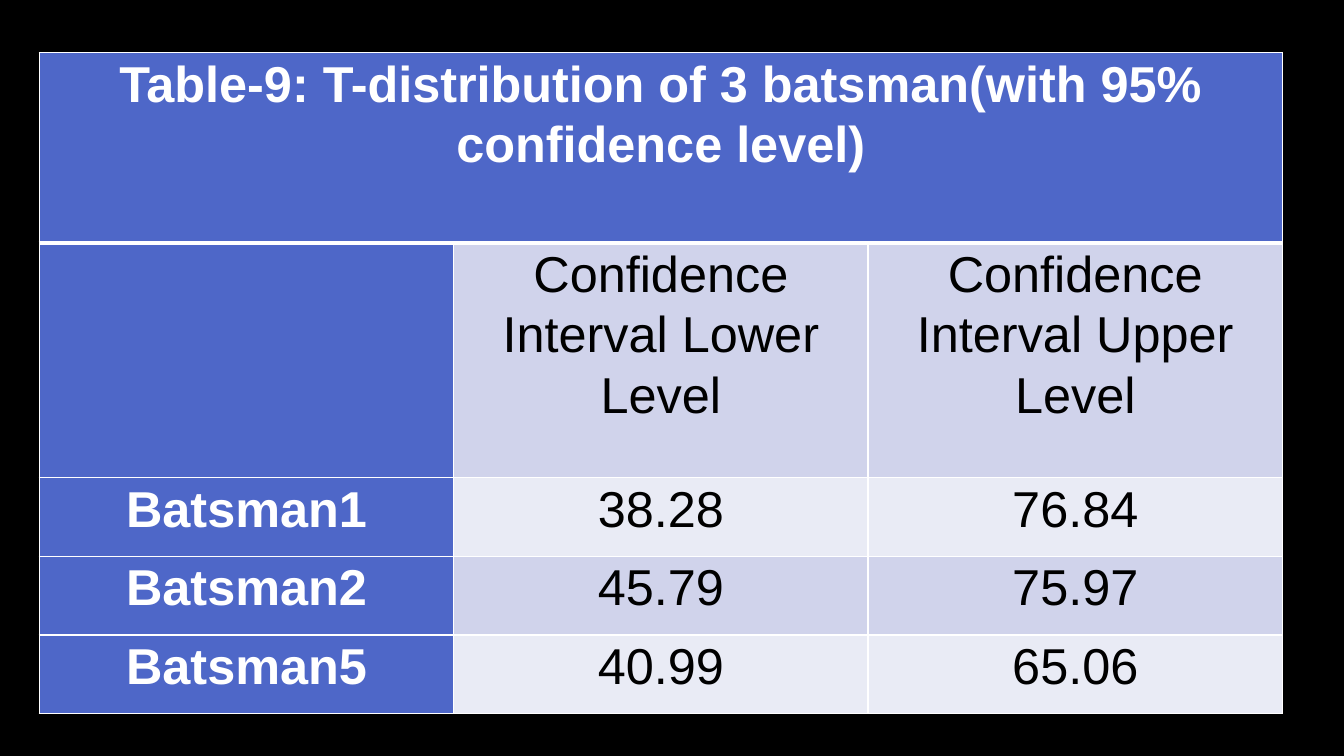
from lxml.etree import SubElement
from pptx import Presentation
from pptx.dml.color import RGBColor
from pptx.enum.text import PP_ALIGN
from pptx.oxml.ns import qn
from pptx.util import Inches, Pt

BLACK = RGBColor(0x00, 0x00, 0x00)
WHITE = RGBColor(0xFF, 0xFF, 0xFF)
BLUE = RGBColor(0x4E, 0x67, 0xC8)
DARK_BAND = RGBColor(0xD0, 0xD3, 0xEB)
LIGHT_BAND = RGBColor(0xE9, 0xEB, 0xF5)

ROWS = [
    ["Table-9: T-distribution of 3 batsman(with 95% confidence level)", "", ""],
    ["", "Confidence Interval Lower Level", "Confidence Interval Upper Level"],
    ["Batsman1", "38.28", "76.84"],
    ["Batsman2", "45.79", "75.97"],
    ["Batsman5", "40.99", "65.06"],
]
ROW_HEIGHTS = [1.89, 2.33, 0.78, 0.78, 0.78]
COLUMN_WIDTH = 4.11


def add_borders(cell, top, bottom):
    """Draw white lines on all four sides, with top and bottom widths in points."""
    properties = cell._tc.get_or_add_tcPr()
    for side, width in (("L", 1), ("R", 1), ("T", top), ("B", bottom)):
        line = SubElement(properties, qn(f"a:ln{side}"), w=str(Pt(width)))
        fill = SubElement(line, qn("a:solidFill"))
        SubElement(fill, qn("a:srgbClr"), val=str(WHITE))


# Page with a black background
deck = Presentation()
deck.slide_width = Inches(13.33)
deck.slide_height = Inches(7.5)
page = deck.slides.add_slide(deck.slide_layouts[6])
page.background.fill.solid()
page.background.fill.fore_color.rgb = BLACK

# Table grid
frame = page.shapes.add_table(
    len(ROWS), 3, Inches(0.39), Inches(0.52),
    Inches(3 * COLUMN_WIDTH), Inches(sum(ROW_HEIGHTS)))
table = frame.table
for column in table.columns:
    column.width = Inches(COLUMN_WIDTH)
for row, height in zip(table.rows, ROW_HEIGHTS):
    row.height = Inches(height)
table.cell(0, 0).merge(table.cell(0, 2))

# Cells: blue title row and first column, banded values
for row_index, texts in enumerate(ROWS):
    for column_index, text in enumerate(texts):
        cell = table.cell(row_index, column_index)
        heading = row_index == 0 or column_index == 0
        band = DARK_BAND if row_index % 2 else LIGHT_BAND
        add_borders(cell, 3 if row_index == 1 else 1, 3 if row_index == 0 else 1)
        cell.fill.solid()
        cell.fill.fore_color.rgb = BLUE if heading else band
        if not text:
            continue
        cell.margin_left = cell.margin_right = Inches(0.07)
        cell.margin_top = cell.margin_bottom = 0
        cell.text_frame.text = text
        para = cell.text_frame.paragraphs[0]
        para.alignment = PP_ALIGN.CENTER
        para.line_spacing = 1.07
        font = para.runs[0].font
        font.name = "Arial"
        font.size = Pt(36)
        font.bold = heading
        font.color.rgb = WHITE if heading else BLACK

deck.save("out.pptx")
